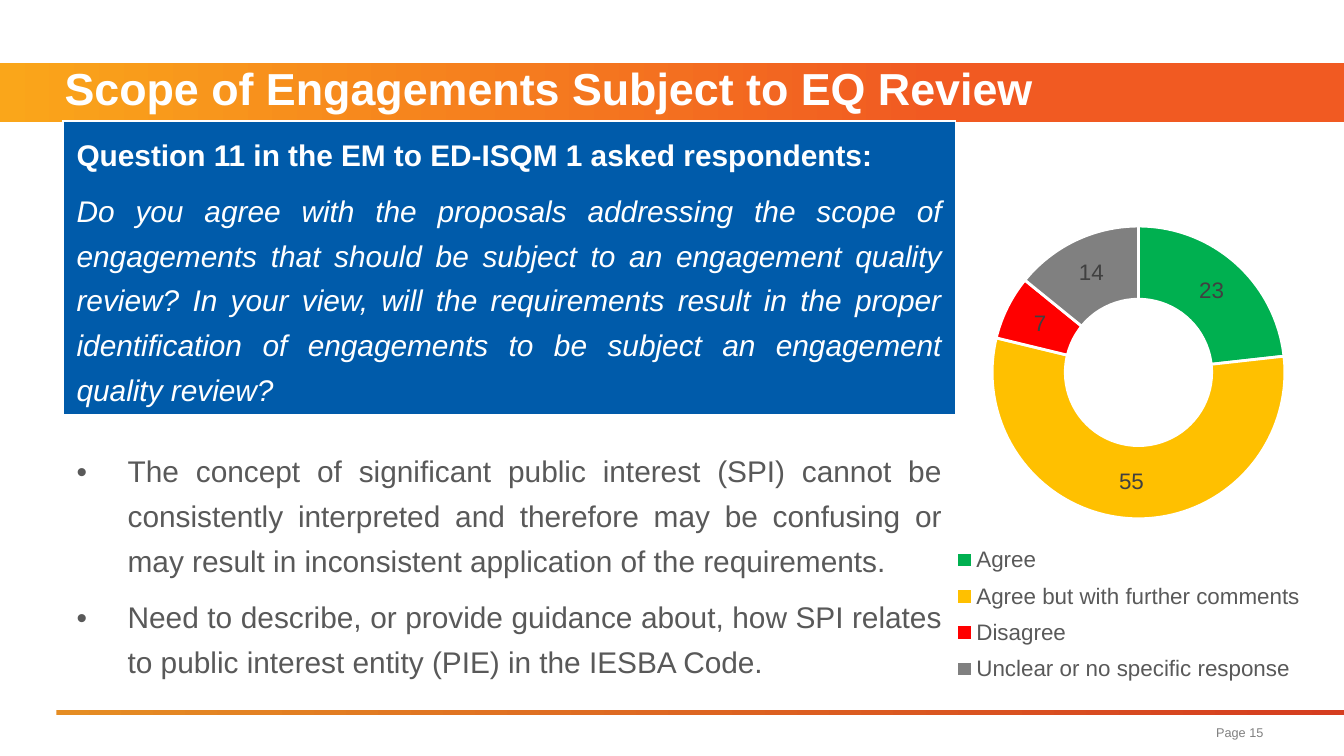
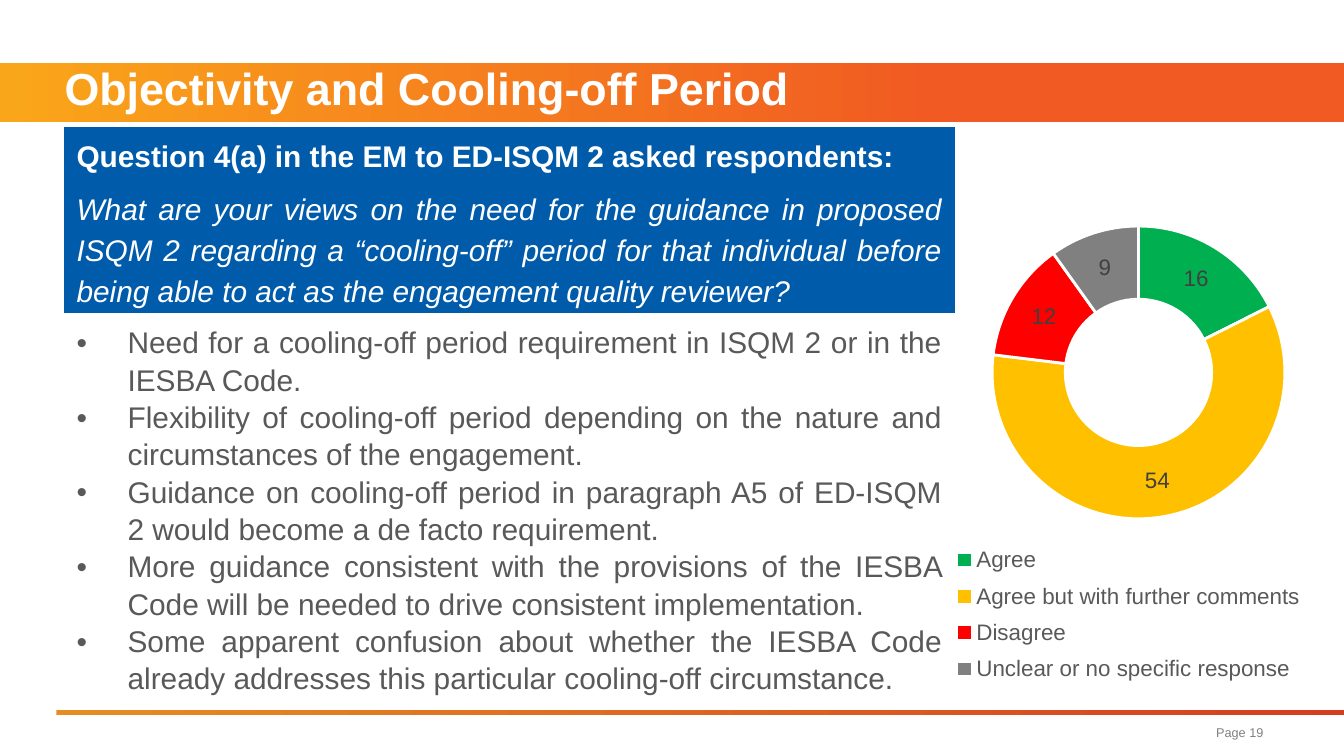
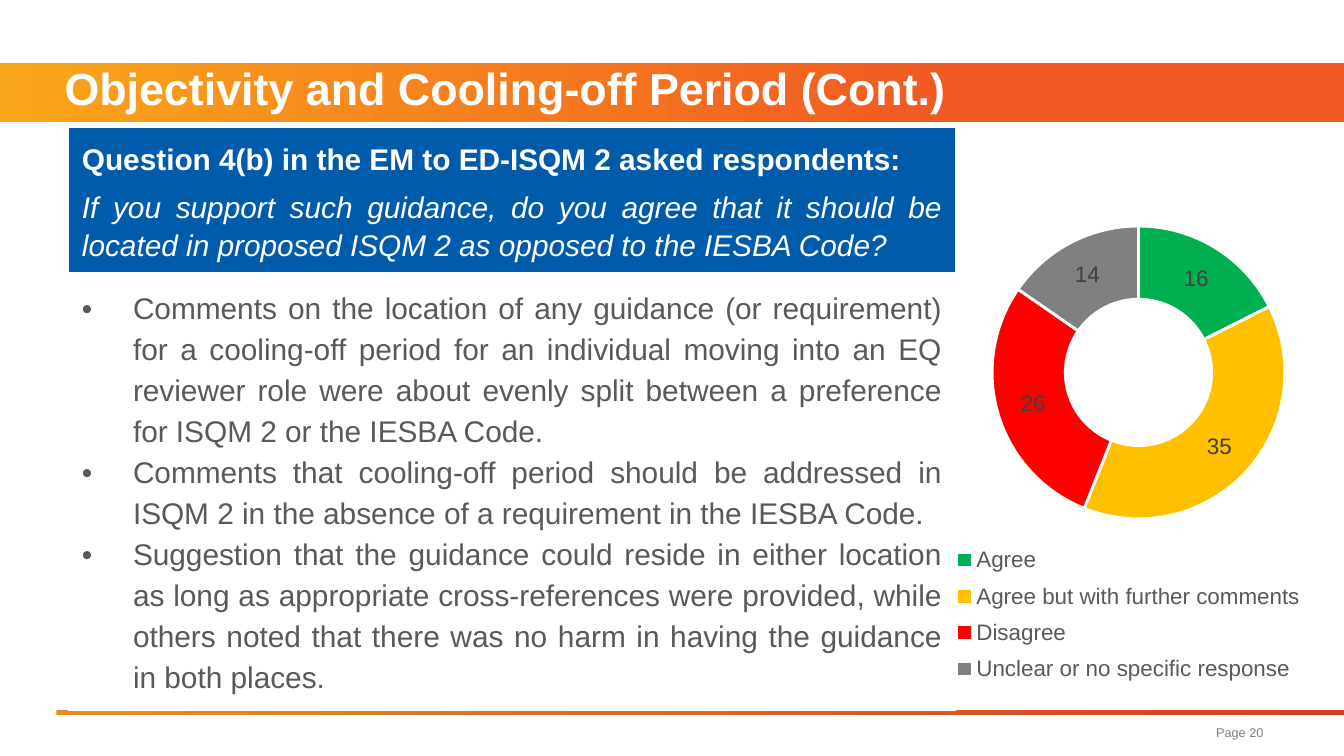
import pptx
import pptx.chart.data
import pptx.dml.color
import pptx.enum.chart
import pptx.enum.shapes
import pptx.enum.text
import pptx.oxml
import pptx.oxml.ns
import pptx.util

Inches, Pt = pptx.util.Inches, pptx.util.Pt
qn = pptx.oxml.ns.qn
ALIGN = pptx.enum.text.PP_ALIGN
ANCHOR = pptx.enum.text.MSO_ANCHOR

FONT = "Arial"
WHITE, BLUE, BODY, LABEL, GREY = "FFFFFF", "005BAA", "595959", "404040", "808080"
BAND_BOX = (0, 0.47, 10, 0.44)
RULE_BOX = (0.42, 5.28, 9.58, 0.04)
PAGE_BOX = (6.48, 5.34, 3.02, 0.25)
CHART_BOX = (6.97, 0.97, 2.86, 4.19)
PLOT_AREA = (0.14, 0.17, 0.77, 0.52)
LEGEND_AREA = (0.03, 0.72, 0.94, 0.28)
TABLE_RIGHT = 7.11
INDENT = 0.38
ANSWERS = [
    ("Agree", "00B050"),
    ("Agree but with further comments", "FFC000"),
    ("Disagree", "FF0000"),
    ("Unclear or no specific response", GREY),
]

# Spans are (top, height) in inches; spacing is in points
SLIDES = [
    dict(
        title="Scope of Engagements Subject to EQ Review",
        page=15, counts=(23, 55, 7, 14), left=0.47,
        asked="Question 11 in the EM to ED-ISQM 1 asked respondents:",
        question="Do you agree with the proposals addressing the scope of engagements that "
                 "should be subject to an engagement quality review? In your view, will the "
                 "requirements result in the proper identification of engagements to be "
                 "subject an engagement quality review?",
        question_span=(0.9, 2.2), question_line=24, question_anchor=ANCHOR.TOP,
        points=[
            "The concept of significant public interest (SPI) cannot be consistently "
            "interpreted and therefore may be confusing or may result in inconsistent "
            "application of the requirements.",
            "Need to describe, or provide guidance about, how SPI relates to public "
            "interest entity (PIE) in the IESBA Code.",
        ],
        points_span=(3.11, 2.14), points_line=24, points_gap=6,
    ),
    dict(
        title="Objectivity and Cooling-off Period",
        page=19, counts=(16, 54, 12, 9), left=0.47,
        asked="Question 4(a) in the EM to ED-ISQM 2 asked respondents:",
        question="What are your views on the need for the guidance in proposed ISQM 2 "
                 "regarding a “cooling-off” period for that individual before being able to "
                 "act as the engagement quality reviewer?",
        question_span=(0.94, 1.39), question_line=22, question_anchor=ANCHOR.TOP,
        points=[
            "Need for a cooling-off period requirement in ISQM 2 or in the IESBA Code.",
            "Flexibility of cooling-off period depending on the nature and circumstances "
            "of the engagement.",
            "Guidance on cooling-off period in paragraph A5 of ED-ISQM 2 would become a de "
            "facto requirement.",
            "More guidance consistent with the provisions of the IESBA Code will be needed "
            "to drive consistent implementation.",
            "Some apparent confusion about whether the IESBA Code already addresses this "
            "particular cooling-off circumstance.",
        ],
        points_span=(2.32, 2.94), points_line=20, points_gap=0,
    ),
    dict(
        title="Objectivity and Cooling-off Period (Cont.)",
        page=20, counts=(16, 35, 26, 14), left=0.51,
        asked="Question 4(b) in the EM to ED-ISQM 2 asked respondents:",
        question="If you support such guidance, do you agree that it should be located in "
                 "proposed ISQM 2 as opposed to the IESBA Code?",
        question_span=(0.95, 1.09), question_line=20, question_anchor=ANCHOR.MIDDLE,
        points=[
            "Comments on the location of any guidance (or requirement) for a cooling-off "
            "period for an individual moving into an EQ reviewer role were about evenly "
            "split between a preference for ISQM 2 or the IESBA Code.",
            "Comments that cooling-off period should be addressed in ISQM 2 in the absence "
            "of a requirement in the IESBA Code.",
            "Suggestion that the guidance could reside in either location as long as "
            "appropriate cross-references were provided, while others noted that there was "
            "no harm in having the guidance in both places.",
        ],
        points_span=(2.02, 3.25), points_line=22, points_gap=0,
    ),
]


def rgb(color):
    return pptx.dml.color.RGBColor.from_string(color)


def inches(box):
    return [Inches(v) for v in box]


def set_font(font, size, color):
    font.name, font.size = FONT, Pt(size)
    font.color.rgb = rgb(color)


def write(p, text, size=16, color=BODY, bold=False, italic=False, align=ALIGN.JUSTIFY,
          line=None, before=0, margin=0, bullet=False):
    pPr = p._p.get_or_add_pPr()
    if margin:
        pPr.set("marL", str(Inches(margin)))
    if bullet:
        pPr.set("indent", str(-Inches(margin)))
        for tag in (f'buFont {pptx.oxml.ns.nsdecls("a")} typeface="{FONT}"',
                    f'buChar {pptx.oxml.ns.nsdecls("a")} char="•"'):
            pPr.append(pptx.oxml.parse_xml(f"<a:{tag}/>"))
    p.alignment = align
    p.space_before = Pt(before)
    if line:
        p.line_spacing = Pt(line)
    r = p.add_run()
    r.text = text
    set_font(r.font, size, color)
    r.font.bold, r.font.italic = bold, italic


def add_layout_strip(slide, layout, box, stops):
    """Draw a gradient strip and move it behind everything on the layout."""
    sp = slide.shapes.add_shape(pptx.enum.shapes.MSO_SHAPE.RECTANGLE, *inches(box))
    sp.shadow.inherit = False
    sp.line.fill.background()
    sp.fill.gradient()
    sp.fill.gradient_angle = 0
    for stop, (position, color) in zip(sp.fill.gradient_stops, stops):
        stop.position = position
        stop.color.rgb = rgb(color)
    layout.shapes.element.insert(2, sp.element)


def add_title(slide, text):
    sp = slide.shapes.title
    sp.left, sp.top, sp.width, sp.height = inches(BAND_BOX)
    tf = sp.text_frame
    tf.auto_size = pptx.enum.text.MSO_AUTO_SIZE.NONE
    tf.vertical_anchor = ANCHOR.TOP
    write(tf.paragraphs[0], text, size=24, color=WHITE, bold=True, align=ALIGN.LEFT,
          line=24, margin=INDENT)


def add_page_number(slide, page):
    tf = slide.shapes.add_textbox(*inches(PAGE_BOX)).text_frame
    tf.word_wrap = True
    write(tf.paragraphs[0], f"Page {page}", size=6.8, color=GREY, align=ALIGN.RIGHT)


def add_panel(slide, left, span, paragraphs, anchor=ANCHOR.MIDDLE, fill=None):
    """Add a one-cell table with white borders; paragraphs are (text, format) pairs."""
    top, height = span
    box = inches((left, top, TABLE_RIGHT - left, height))
    table = slide.shapes.add_table(1, 1, *box).table
    table.first_row = table.horz_banding = False
    cell = table.cell(0, 0)
    cell.vertical_anchor = anchor
    tcPr = cell._tc.get_or_add_tcPr()
    for side, width in (("L", 1), ("R", 1), ("T", 1), ("B", 3)):
        tcPr.append(pptx.oxml.parse_xml(
            f'<a:ln{side} {pptx.oxml.ns.nsdecls("a")} w="{Pt(width)}"><a:solidFill>'
            f'<a:srgbClr val="{WHITE}"/></a:solidFill></a:ln{side}>'))
    if fill:
        cell.fill.solid()
        cell.fill.fore_color.rgb = rgb(fill)
    else:
        cell.fill.background()
    tf = cell.text_frame
    for i, (text, style) in enumerate(paragraphs):
        write(tf.add_paragraph() if i else tf.paragraphs[0], text, **style)


def set_layout(parent, index, area, target=""):
    """Place a chart part at fractions (x, y, width, height) of the chart."""
    for old in parent.findall(qn("c:layout")):
        parent.remove(old)
    sizes = "".join(f'<c:{k} val="{v}"/>' for k, v in zip("xywh", area))
    parent.insert(index, pptx.oxml.parse_xml(
        f'<c:layout {pptx.oxml.ns.nsdecls("c")}><c:manualLayout>{target}'
        f'<c:xMode val="edge"/><c:yMode val="edge"/>{sizes}</c:manualLayout></c:layout>'))


def add_doughnut(slide, counts):
    data = pptx.chart.data.CategoryChartData()
    data.categories = [name for name, _ in ANSWERS]
    data.add_series("Series 1", counts)
    chart = slide.shapes.add_chart(
        pptx.enum.chart.XL_CHART_TYPE.DOUGHNUT, *inches(CHART_BOX), data).chart
    chart.has_title = False
    set_font(chart.font, 12, "000000")

    plot = chart.plots[0]
    plot.vary_by_categories = True
    series = plot.series[0]
    for i, (_, color) in enumerate(ANSWERS):
        fmt = series.points[i].format
        fmt.fill.solid()
        fmt.fill.fore_color.rgb = rgb(color)
        fmt.line.color.rgb = rgb(WHITE)
        fmt.line.width = Pt(1.5)
    labels = series.data_labels
    labels.show_value, labels.show_percentage = True, False
    set_font(labels.font, 12, LABEL)

    chart.has_legend = True
    legend = chart.legend
    legend.position = pptx.enum.chart.XL_LEGEND_POSITION.BOTTOM
    legend.include_in_layout = False
    set_font(legend.font, 12, BODY)

    plot_area = chart.element.find(f'.//{qn("c:plotArea")}')
    plot_area.find(f'.//{qn("c:holeSize")}').set("val", "75")
    set_layout(plot_area, 0, PLOT_AREA, '<c:layoutTarget val="inner"/>')
    set_layout(chart.element.find(f'.//{qn("c:legend")}'), 1, LEGEND_AREA)


def build_slide(slide, c):
    add_title(slide, c["title"])
    add_doughnut(slide, c["counts"])
    bullet = dict(line=c["points_line"], margin=INDENT, bullet=True)
    add_panel(slide, c["left"], c["points_span"],
              [(text, dict(bullet, before=c["points_gap"] if i else 0))
               for i, text in enumerate(c["points"])])
    add_page_number(slide, c["page"])
    asked = dict(color=WHITE, line=c["question_line"])
    add_panel(slide, c["left"], c["question_span"],
              [(c["asked"], dict(asked, bold=True)),
               (c["question"], dict(asked, italic=True, before=6))],
              anchor=c["question_anchor"], fill=BLUE)


def main():
    prs = pptx.Presentation()
    prs.slide_width = Inches(10)
    prs.slide_height = prs.slide_width * 9 // 16
    layout = prs.slide_layouts[5]
    for ph in list(layout.placeholders)[1:]:
        layout.shapes.element.remove(ph.element)
    slides = [prs.slides.add_slide(layout) for _ in SLIDES]
    add_layout_strip(slides[0], layout, RULE_BOX, [(0, "E58D23"), (1, "D53D20")])
    add_layout_strip(slides[0], layout, BAND_BOX, [(0, "FAA61A"), (0.7, "F15A22")])
    for slide, content in zip(slides, SLIDES):
        build_slide(slide, content)
    prs.save("out.pptx")


if __name__ == "__main__":
    main()
